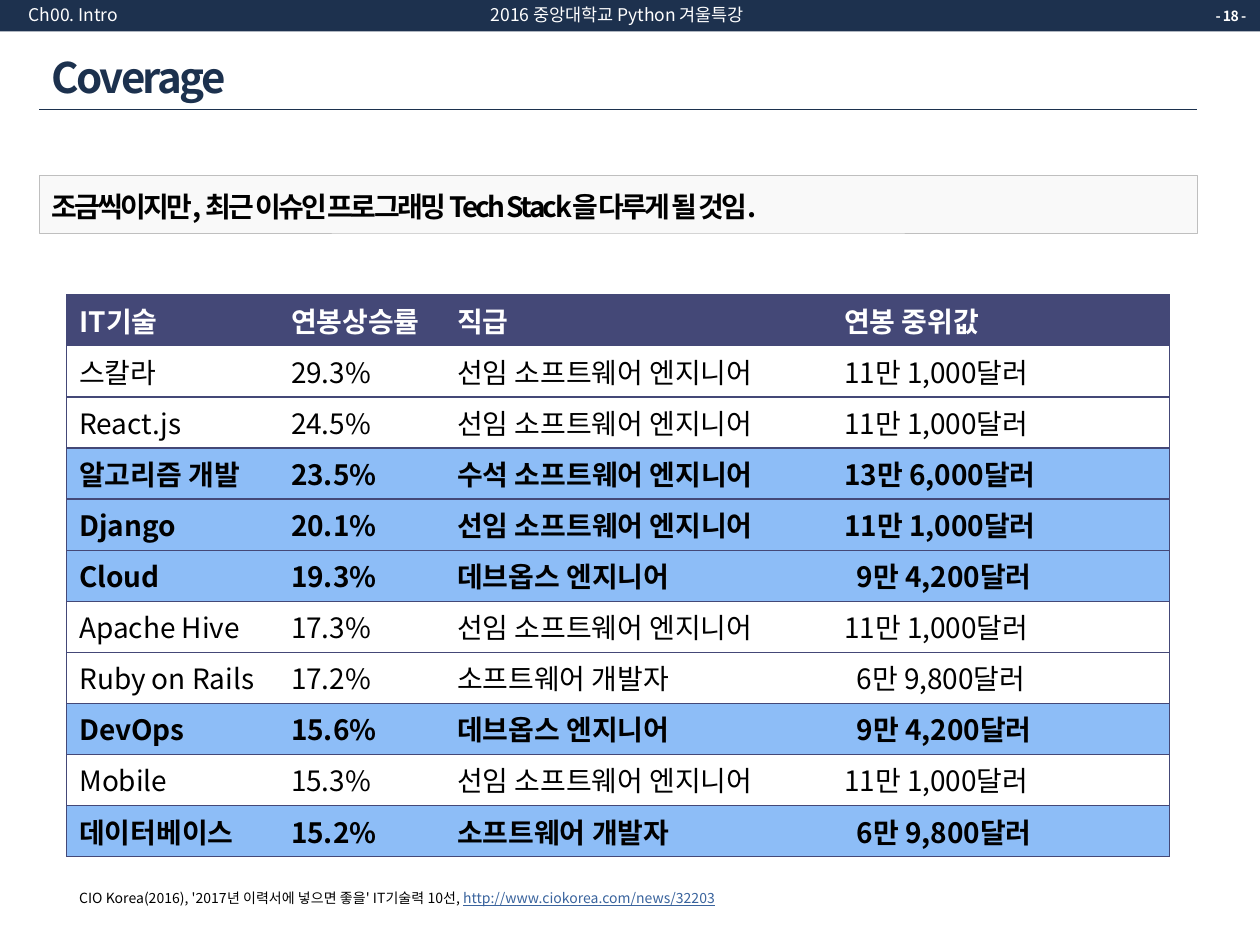
from dataclasses import dataclass

from lxml.etree import SubElement
from pptx import Presentation
from pptx.dml.color import RGBColor as RGB
from pptx.enum.shapes import MSO_CONNECTOR as CONNECTOR, MSO_SHAPE as SHAPE
from pptx.enum.text import MSO_ANCHOR as ANCHOR, MSO_AUTO_SIZE as AUTO_SIZE, PP_ALIGN as ALIGN
from pptx.oxml import parse_xml
from pptx.oxml.ns import nsdecls, qn
from pptx.util import Inches, Pt


@dataclass(frozen=True)
class Theme:
    """Colours, font and type sizes of the slide."""
    font: str = "Noto Sans CJK KR"
    navy: str = "1C314E"
    bar: str = "1D314E"
    panel: str = "F9F9F9"
    panel_edge: str = "BFBFBF"
    grid: str = "444877"
    highlight: str = "8DBDF7"
    link: str = "39639D"
    white: str = "FFFFFF"
    black: str = "000000"
    title: int = 24
    body: int = 16
    header: int = 10
    small: int = 8


THEME = Theme()
HEADINGS = ("IT기술", "연봉상승률", "직급", "연봉 중위값")
SENIOR = "선임 소프트웨어 엔지니어"
DEVOPS = "데브옵스 엔지니어"
DEVELOPER = "소프트웨어 개발자"
SKILLS = (
    ("스칼라", "29.3%", SENIOR, "11만 1,000달러"),
    ("React.js", "24.5%", SENIOR, "11만 1,000달러"),
    ("알고리즘 개발", "23.5%", "수석 소프트웨어 엔지니어", "13만 6,000달러"),
    ("Django", "20.1%", SENIOR, "11만 1,000달러"),
    ("Cloud", "19.3%", DEVOPS, "9만 4,200달러"),
    ("Apache Hive", "17.3%", SENIOR, "11만 1,000달러"),
    ("Ruby on Rails", "17.2%", DEVELOPER, "6만 9,800달러"),
    ("DevOps", "15.6%", DEVOPS, "9만 4,200달러"),
    ("Mobile", "15.3%", SENIOR, "11만 1,000달러"),
    ("데이터베이스", "15.2%", DEVELOPER, "6만 9,800달러"),
)
COVERED = {"알고리즘 개발", "Django", "Cloud", "DevOps", "데이터베이스"}
COLUMN_WIDTHS = (1.68, 1.32, 3.07, 2.68)


def add_run(paragraph, text, size, color, spacing=0, **formats):
    """Append a run with the theme font, also for Korean letters."""
    run = paragraph.add_run()
    run.text = text
    formats = {"name": THEME.font, "size": Pt(size), "bold": False, **formats}
    for name, value in formats.items():
        setattr(run.font, name, value)
    run.font.color.rgb = RGB.from_string(color)
    properties = run._r.get_or_add_rPr()
    SubElement(properties, qn("a:ea"), typeface=THEME.font)
    if spacing:
        properties.set("spc", str(round(spacing * 100)))


def add_label(slide, box, align=ALIGN.LEFT, wrap=True):
    """Add a text box and return its first paragraph."""
    frame = slide.shapes.add_textbox(*map(Inches, box)).text_frame
    frame.word_wrap = wrap
    frame.auto_size = AUTO_SIZE.SHAPE_TO_FIT_TEXT
    frame.paragraphs[0].alignment = align
    return frame.paragraphs[0]


def add_panel(slide, box, fill, edge=None):
    """Add a flat rectangle."""
    panel = slide.shapes.add_shape(SHAPE.RECTANGLE, *map(Inches, box))
    panel.shadow.inherit = False
    panel.fill.solid()
    panel.fill.fore_color.rgb = RGB.from_string(fill)
    if edge:
        panel.line.color.rgb = RGB.from_string(edge)
        panel.line.width = Pt(0.5)
    else:
        panel.line.fill.background()
    return panel


def add_title(slide, text):
    """Place the title and the rule below it."""
    rule = slide.shapes.add_connector(
        CONNECTOR.STRAIGHT, *map(Inches, (0.31, 0.87, 9.5, 0.87)))
    rule.line.color.rgb = RGB.from_string(THEME.navy)
    rule.line.width = Pt(0.25)
    SubElement(rule._element.spPr, qn("a:effectLst"))
    title = slide.shapes.title
    place = {"left": 0.31, "top": 0.29, "width": 7.65, "height": 0.64}
    for name, value in place.items():
        setattr(title, name, Inches(value))
    frame = title.text_frame
    frame.auto_size = AUTO_SIZE.NONE
    frame.vertical_anchor = ANCHOR.MIDDLE
    frame.paragraphs[0].alignment = ALIGN.LEFT
    add_run(frame.paragraphs[0], text, THEME.title, THEME.navy, -1.5, bold=True)


def add_header(slide):
    """Add the dark bar with chapter, course and page number."""
    add_panel(slide, (-0.01, 0, 10.01, 0.25), THEME.bar)
    chapter = add_label(slide, (0.13, -0.02, 2.6, 0.27))
    add_run(chapter, "Ch00. Intro", THEME.header, THEME.white)
    course = add_label(slide, (3.72, -0.02, 2.36, 0.27), ALIGN.CENTER, wrap=False)
    add_run(course, "2016 중앙대학교 Python 겨울특강", THEME.header, THEME.white)
    page = add_label(slide, (8.26, 0.01, 1.73, 0.24), ALIGN.RIGHT)
    add_run(page, "- 18 -", THEME.small, THEME.white, -0.3, bold=True)


def add_message(slide, text):
    """Add the key message panel."""
    frame = add_panel(
        slide, (0.31, 1.39, 9.19, 0.46), THEME.panel, THEME.panel_edge).text_frame
    frame.word_wrap = True
    frame.vertical_anchor = ANCHOR.MIDDLE
    message = frame.paragraphs[0]
    message.alignment = ALIGN.JUSTIFY
    message.line_spacing = 1.14
    add_run(message, text, THEME.body, THEME.black, -1.5, bold=True)


def set_borders(cell, visible):
    """Draw the sides named in visible and clear the others."""
    properties = cell._tc.get_or_add_tcPr()
    for position, side in enumerate("LRTB"):
        paint = (f'<a:solidFill><a:srgbClr val="{THEME.grid}"/></a:solidFill>'
                 if side in visible else "<a:noFill/>")
        properties.insert(position, parse_xml(
            f'<a:ln{side} {nsdecls("a")} w="{Pt(0.75)}">{paint}</a:ln{side}>'))


def fill_cell(cell, text, color, fill, bold, borders):
    """Write and format one table cell; shorter amounts are indented."""
    indent = 0.1 if text.endswith("달러") and text.index("만") == 1 else 0
    margins = {"margin_left": 0.1 + indent, "margin_top": 0.04, "margin_bottom": 0.04}
    for name, value in margins.items():
        setattr(cell, name, Inches(value))
    cell.vertical_anchor = ANCHOR.MIDDLE
    if fill:
        cell.fill.solid()
        cell.fill.fore_color.rgb = RGB.from_string(fill)
    else:
        cell.fill.background()
    add_run(cell.text_frame.paragraphs[0], text, THEME.body, color, bold=bold)
    set_borders(cell, borders)


def add_skill_table(slide):
    """Add the salary table and highlight the covered skills."""
    rows = (HEADINGS, *SKILLS)
    table = slide.shapes.add_table(
        len(rows), len(HEADINGS), *map(Inches, (0.53, 2.34, 8.74, 4.46))).table
    table.horz_banding = False
    table.first_row = False
    for column, width in zip(table.columns, COLUMN_WIDTHS):
        column.width = Inches(width)
    outer = {0: "L", len(HEADINGS) - 1: "R"}
    for row_index, row in enumerate(rows):
        if row is HEADINGS:
            style = (THEME.white, THEME.grid, True)
        elif row[0] in COVERED:
            style = (THEME.black, THEME.highlight, True)
        else:
            style = (THEME.black, None, False)
        for column_index, text in enumerate(row):
            fill_cell(table.cell(row_index, column_index), text, *style,
                      "TB" + outer.get(column_index, ""))


def add_source(slide):
    """Add the citation below the table."""
    source = add_label(slide, (0.53, 7.01, 6.56, 0.24))
    add_run(source, "CIO Korea(2016), '2017년 이력서에 넣으면 좋을' IT기술력 10선, ",
            THEME.small, THEME.black)
    add_run(source, "http://www.ciokorea.com/news/32203",
            THEME.small, THEME.link, underline=True)


def main():
    """Build and save the slide."""
    deck = Presentation()
    deck.slide_width, deck.slide_height = Inches(10), Inches(7.5)
    slide = deck.slides.add_slide(deck.slide_layouts[5])
    add_title(slide, "Coverage")
    add_message(slide, "조금씩이지만, 최근 이슈인 프로그래밍 Tech Stack을 다루게 될 것임.")
    add_header(slide)
    add_skill_table(slide)
    add_source(slide)
    deck.save("out.pptx")


if __name__ == "__main__":
    main()
